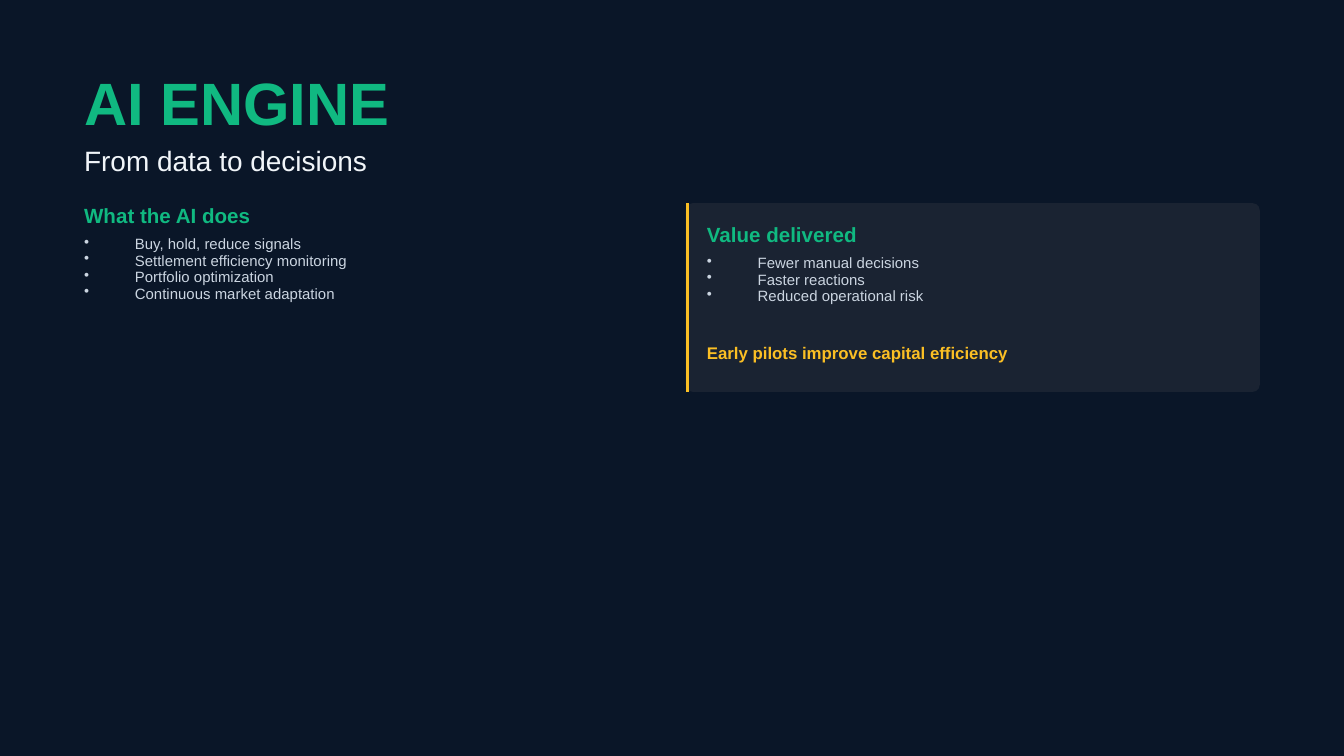
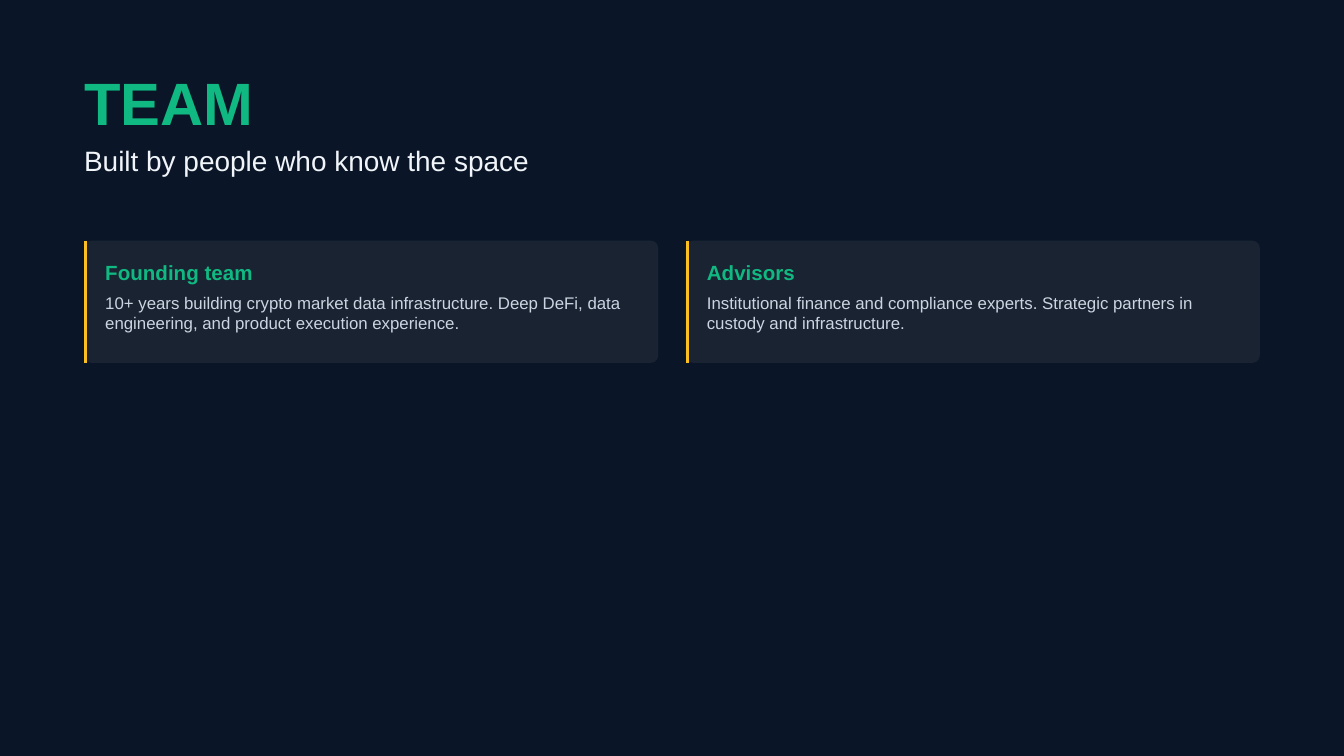
from lxml.etree import SubElement as Sub
from pptx import Presentation
from pptx.dml.color import RGBColor as RGB
from pptx.enum.shapes import MSO_CONNECTOR as Conn, MSO_SHAPE as Form
from pptx.enum.text import MSO_ANCHOR as Anchor, MSO_AUTO_SIZE as Auto, PP_ALIGN as Align
from pptx.oxml.ns import qn
from pptx.util import Cm, Pt

NAVY = RGB(0x0A, 0x16, 0x28)
SLATE = RGB(0x1A, 0x23, 0x32)
GREEN = RGB(0x10, 0xB9, 0x81)
GOLD = RGB(0xFB, 0xBF, 0x24)
WHITE = RGB(0xF1, 0xF5, 0xF9)
GRAY = RGB(0xCB, 0xD5, 0xE1)

LEFT = 1.59
WIDE = 10.85
GAP = 0.52
RIGHT = LEFT + WIDE + GAP
PAD = 0.4
ROUND = 0.14

FRAME = dict(margin_left=0, margin_top=0, margin_right=0, margin_bottom=0,
             word_wrap=True, auto_size=Auto.NONE, vertical_anchor=Anchor.TOP)

STYLES = {
    "title": (GREEN, dict(size=Pt(32), bold=True), dict(space_after=Pt(5))),
    "sub": (WHITE, dict(size=Pt(15)), dict(space_after=Pt(15))),
    "head": (GREEN, dict(size=Pt(11), bold=True), dict(space_after=Pt(6))),
    "list": (GRAY, dict(size=Pt(8)), dict(line_spacing=Pt(8.8))),
    "body": (GRAY, dict(size=Pt(9)), dict(line_spacing=Pt(10.8), space_after=Pt(6))),
    "note": (GOLD, dict(size=Pt(9), bold=True),
             dict(line_spacing=Pt(10.8), space_after=Pt(6))),
}


def apply(item, values):
    for key, value in values.items():
        setattr(item, key, value)


def bullet(para):
    props = para._p.get_or_add_pPr()
    props.set("marL", str(Cm(0.96)))
    props.set("indent", str(-Cm(0.96)))
    Sub(props, qn("a:buChar")).set("char", "•")


def write(shape, lines, style):
    color, font, form = STYLES[style]
    frame = shape.text_frame
    apply(frame, FRAME)
    frame.text = "\n".join(lines)
    for para in frame.paragraphs:
        if style == "list":
            bullet(para)
        apply(para, dict(alignment=Align.LEFT, space_before=Pt(0), **form))
        for run in para.runs:
            apply(run.font, dict(name="Arial", **font))
            run.font.color.rgb = color


def label(slide, box, lines, style):
    write(slide.shapes.add_textbox(*map(Cm, box)), lines, style)


def header(deck, title, sub):
    slide = deck.slides.add_slide(deck.slide_layouts[5])
    head = slide.shapes.title
    apply(head, dict(left=Cm(LEFT), top=Cm(1.24), width=Cm(22.68), height=Cm(1.3)))
    write(head, [title], "title")
    label(slide, (LEFT, 2.72, 22.68, 0.61), [sub], "sub")
    return slide


def block(slide, left, top, width, head, lines, style):
    label(slide, (left, top, width, 0.43), [head], "head")
    label(slide, (left, top + 0.63, width, 0.45 * len(lines) + 0.3), lines, style)


def card(slide, left, top, high, head, lines, style):
    panel = slide.shapes.add_shape(Form.ROUNDED_RECTANGLE, *map(Cm, (left, top, WIDE, high)))
    panel.shadow.inherit = False
    panel.adjustments[0] = ROUND / high
    panel.fill.solid()
    panel.fill.fore_color.rgb = SLATE
    panel.line.fill.background()
    edge = left + 0.03
    rule = slide.shapes.add_connector(Conn.STRAIGHT, *map(Cm, (edge, top, edge, top + high)))
    rule.line.color.rgb = GOLD
    rule.line.width = Pt(1.5)
    Sub(rule._element.spPr, qn("a:effectLst"))
    block(slide, left + PAD, top + 0.36, WIDE - 0.56, head, lines, style)


def engine(deck):
    slide = header(deck, "AI ENGINE", "From data to decisions")
    top = 3.84
    block(slide, LEFT, top, WIDE, "What the AI does",
          ["Buy, hold, reduce signals", "Settlement efficiency monitoring",
           "Portfolio optimization", "Continuous market adaptation"], "list")
    card(slide, RIGHT, top, 3.57, "Value delivered",
         ["Fewer manual decisions", "Faster reactions", "Reduced operational risk"], "list")
    label(slide, (RIGHT + PAD, top + 2.64, WIDE - 0.56, 0.38),
          ["Early pilots improve capital efficiency"], "note")


def team(deck):
    slide = header(deck, "TEAM", "Built by people who know the space")
    cards = [
        ("Founding team", "10+ years building crypto market data infrastructure. "
         "Deep DeFi, data engineering, and product execution experience."),
        ("Advisors", "Institutional finance and compliance experts. "
         "Strategic partners in custody and infrastructure."),
    ]
    for left, (head, text) in zip((LEFT, RIGHT), cards):
        card(slide, left, 4.55, 2.31, head, [text], "body")


def main():
    deck = Presentation()
    apply(deck, dict(slide_width=Cm(25.4), slide_height=Cm(14.29)))
    back = deck.slide_master.background.fill
    back.solid()
    back.fore_color.rgb = NAVY
    engine(deck)
    team(deck)
    deck.save("out.pptx")


if __name__ == "__main__":
    main()
